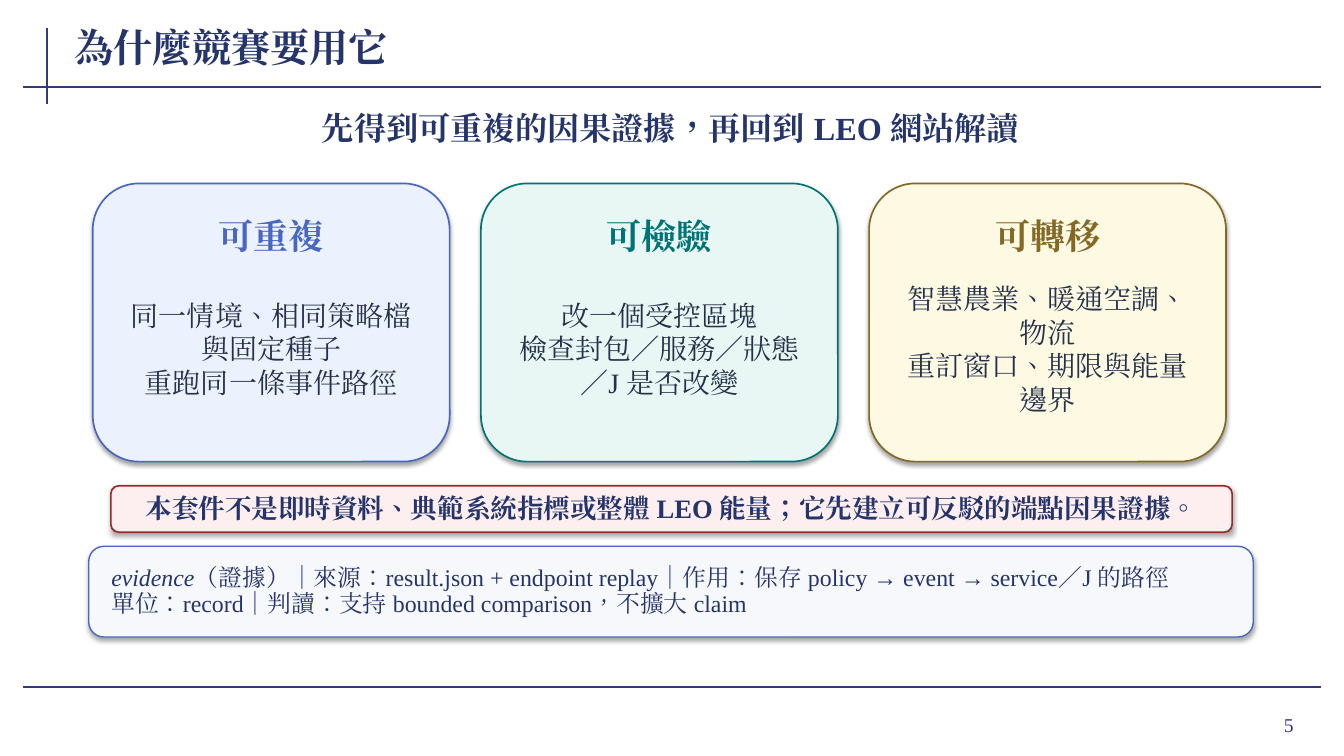
import pptx
import pptx.dml.color
import pptx.enum.lang
import pptx.enum.shapes
import pptx.enum.text
import pptx.oxml
import pptx.oxml.ns
import pptx.util
from lxml import etree

RGB = pptx.dml.color.RGBColor
ALIGN = pptx.enum.text.PP_ALIGN
SHAPE = pptx.enum.shapes.MSO_SHAPE
qn = pptx.oxml.ns.qn

NAVY = RGB(0x25, 0x35, 0x6B)
INK = RGB(0x25, 0x32, 0x4A)
RULE = RGB(0x35, 0x37, 0x7F)
BLUE = RGB(0x49, 0x67, 0xC2)
TEAL = RGB(0x00, 0x73, 0x74)
GOLD = RGB(0x84, 0x68, 0x26)
RED = RGB(0x99, 0x2A, 0x2A)
PALE_BLUE = RGB(0xEC, 0xF1, 0xFE)
PALE_TEAL = RGB(0xE8, 0xF7, 0xF4)
PALE_GOLD = RGB(0xFD, 0xF9, 0xE2)
PALE_RED = RGB(0xFD, 0xEF, 0xEF)
PALE_GREY = RGB(0xF7, 0xF8, 0xFC)

TITLE = "為什麼競賽要用它"
LEAD = "先得到可重複的因果證據，再回到 LEO 網站解讀"
CARDS = [
    ("可重複", ["同一情境、相同策略檔與固定種子", "重跑同一條事件路徑"], BLUE, PALE_BLUE),
    ("可檢驗", ["改一個受控區塊", "檢查封包／服務／狀態／J 是否改變"], TEAL, PALE_TEAL),
    ("可轉移", ["智慧農業、暖通空調、物流", "重訂窗口、期限與能量邊界"], GOLD, PALE_GOLD),
]
LIMIT = "本套件不是即時資料、典範系統指標或整體 LEO 能量；它先建立可反駁的端點因果證據。"
EVIDENCE_TERM = "evidence"
EVIDENCE = [
    "（證據）｜來源：result.json + endpoint replay｜作用：保存 policy → event → service／J 的路徑",
    "單位：record｜判讀：支持 bounded comparison，不擴大 claim",
]
PAGE = "5"
RULES = [(47, 28, 47, 103), (23, 86, 1310, 86), (23, 682, 1310, 682)]
CARD_LEFT, CARD_TOP, CARD_W, CARD_H, CARD_STEP = 92, 182, 354, 276, 385

FONT = "Times New Roman"
PX = 9144  # EMU per px, 100 px to the inch

prs = pptx.Presentation()
prs.slide_width, prs.slide_height = 1333 * PX, 750 * PX
slide = prs.slides.add_slide(prs.slide_layouts[6])


def emu(*lengths):
    return [length * PX for length in lengths]


def write(shape, lines, size, color, bold=False, align=ALIGN.LEFT,
          inset=(2, 1), spacing=None, grow=False, lead_in=None):
    """Fill a shape with one paragraph per line; lead_in is an italic opening."""
    frame = shape.text_frame
    frame.word_wrap = True
    frame.vertical_anchor = pptx.enum.text.MSO_ANCHOR.MIDDLE
    if grow:
        frame.auto_size = pptx.enum.text.MSO_AUTO_SIZE.SHAPE_TO_FIT_TEXT
    frame.margin_left = frame.margin_right = inset[0] * PX
    frame.margin_top = frame.margin_bottom = inset[1] * PX
    for i, line in enumerate(lines):
        paragraph = frame.add_paragraph() if i else frame.paragraphs[0]
        paragraph.alignment = align
        if spacing:
            paragraph.line_spacing = spacing
        pieces = [(line, False)]
        if lead_in and i == 0:
            pieces.insert(0, (lead_in, True))
        for text, italic in pieces:
            run = paragraph.add_run()
            run.text = text
            font = run.font
            font.size, font.bold, font.italic = pptx.util.Pt(size), bold, italic
            font.color.rgb = color
            font.name = FONT
            font.language_id = pptx.enum.lang.MSO_LANGUAGE_ID.TRADITIONAL_CHINESE
            etree.SubElement(run._r.get_or_add_rPr(), qn("a:ea"), typeface=FONT)


def text_box(box, lines, size, color, **style):
    write(slide.shapes.add_textbox(*emu(*box)), lines, size, color, **style)


def panel(box, fill, line, width=1.2):
    """Rounded box with a soft shadow below it."""
    shape = slide.shapes.add_shape(SHAPE.ROUNDED_RECTANGLE, *emu(*box))
    shape.fill.solid()
    shape.fill.fore_color.rgb = fill
    shape.line.color.rgb = line
    shape.line.width = pptx.util.Pt(width)
    shape.shadow.inherit = False
    effects = shape._element.spPr.find(qn("a:effectLst"))
    shadow = etree.SubElement(effects, qn("a:outerShdw"), blurRad="40000",
                              dist="23000", dir="5400000", rotWithShape="0")
    black = etree.SubElement(shadow, qn("a:srgbClr"), val="000000")
    etree.SubElement(black, qn("a:alpha"), val="35000")
    return shape


for ends in RULES:
    rule = slide.shapes.add_connector(
        pptx.enum.shapes.MSO_CONNECTOR.STRAIGHT, *emu(*ends))
    rule.line.color.rgb = RULE
    rule.line.width = pptx.util.Pt(1.5)
    etree.SubElement(rule._element.spPr, qn("a:effectLst"))

text_box((1196, 693, 97, 52), [PAGE], 14, RULE, align=ALIGN.RIGHT, inset=(10, 5))
text_box((72, 20, 1035, 53), [TITLE], 28, NAVY, bold=True, inset=(2, 0))
text_box((100, 102, 1130, 50), [LEAD], 23, NAVY, bold=True,
         align=ALIGN.CENTER, grow=True)

for column, (heading, body, accent, tint) in enumerate(CARDS):
    left = CARD_LEFT + column * CARD_STEP
    panel((left, CARD_TOP, CARD_W, CARD_H), tint, accent)
    text_box((left + 18, CARD_TOP + 26, CARD_W - 36, 52), [heading], 25, accent,
             bold=True, align=ALIGN.CENTER, grow=True)
    text_box((left + 24, CARD_TOP + 106, CARD_W - 48, 116), body, 20, INK,
             align=ALIGN.CENTER, grow=True)

write(panel((110, 482, 1112, 46), PALE_RED, RED), [LIMIT], 19, NAVY, bold=True,
      align=ALIGN.CENTER, inset=(12, 5), spacing=0.95)
write(panel((88, 542, 1155, 90), PALE_GREY, BLUE, width=1), EVIDENCE, 17, NAVY,
      inset=(18, 5), spacing=0.92, lead_in=EVIDENCE_TERM)

prs.save("out.pptx")
